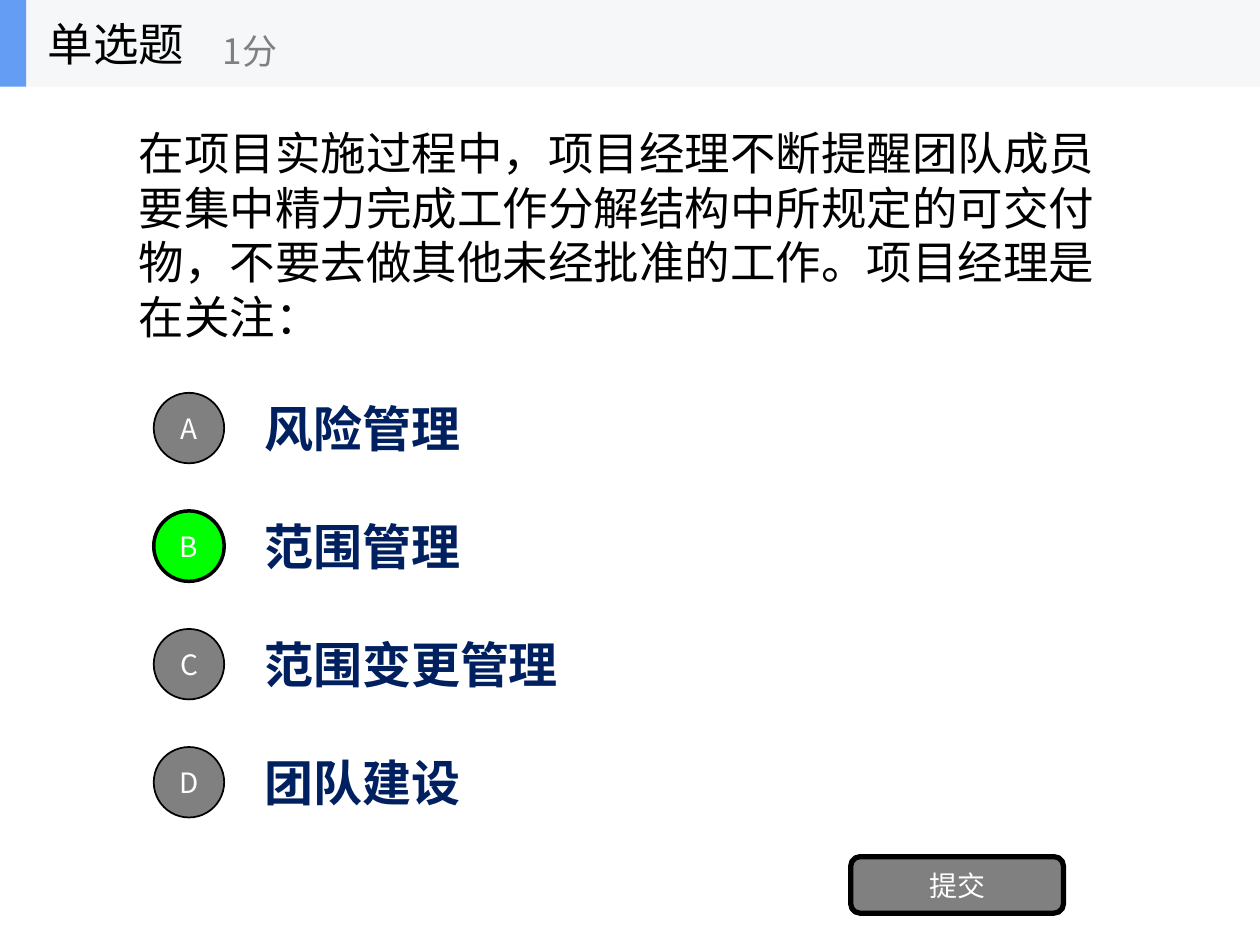
from lxml import etree
from pptx import Presentation
from pptx import util as u
from pptx.dml.color import RGBColor
from pptx.enum import shapes, text
from pptx.oxml.ns import qn

FONT = "Noto Sans CJK SC"
COLORS = {
    "black": "000000", "white": "FFFFFF", "grey": "808080", "green": "00FF00",
    "navy": "002060", "blue": "639EF4", "band": "F6F7F8",
}
QUESTION = (
    "在项目实施过程中，项目经理不断提醒团队成员要集中精力完成工作分解结构中所规定的可交付物，"
    "不要去做其他未经批准的工作。项目经理是在关注："
)
OPTIONS = [("A", "风险管理"), ("B", "范围管理"), ("C", "范围变更管理"), ("D", "团队建设")]
ANSWER = "B"

# Lengths in centimetres
SLIDE_WIDTH, SLIDE_HEIGHT = 25.4, 19.05
HEADER_HEIGHT = 1.75
FIRST_OPTION_MIDDLE, OPTION_STEP = 8.63, 2.38
OPTION_HEIGHT, BADGE_SIZE = 1.78, 1.42


def color(name):
    return RGBColor.from_string(COLORS[name])


def write(shape, words, size, ink, bold=False, align=text.PP_ALIGN.LEFT):
    frame = shape.text_frame
    frame.text = words
    frame.word_wrap = True
    frame.auto_size = text.MSO_AUTO_SIZE.NONE
    frame.vertical_anchor = text.MSO_ANCHOR.MIDDLE
    para = frame.paragraphs[0]
    para.alignment = align
    font = para.font
    font.name, font.size, font.bold = FONT, u.Pt(size), bold
    font.color.rgb = color(ink)
    # East Asian characters take their typeface from a:ea
    latin = para._p.find(".//" + qn("a:latin"))
    east_asian = etree.Element(qn("a:ea"), typeface=FONT)
    latin.addnext(east_asian)


def add_label(parent, place, words, size, ink, bold=False):
    box = parent.add_textbox(*map(u.Cm, place))
    write(box, words, size, ink, bold)


def add_block(parent, kind, place, fill, line_width=0):
    block = parent.add_shape(kind, *map(u.Cm, place))
    block.shadow.inherit = False
    block.fill.solid()
    block.fill.fore_color.rgb = color(fill)
    if line_width:
        block.line.color.rgb = color("black")
        block.line.width = u.Pt(line_width)
    else:
        block.line.fill.background()
    return block


def add_button(parent, kind, place, words, fill, line_width):
    button = add_block(parent, kind, place, fill, line_width)
    write(button, words, 16, "white", align=text.PP_ALIGN.CENTER)
    frame = button.text_frame
    frame.margin_left = frame.margin_right = frame.margin_top = frame.margin_bottom = 0


def add_header(slide):
    header = slide.shapes.add_group_shape().shapes
    rectangle = shapes.MSO_SHAPE.RECTANGLE
    add_block(header, rectangle, (0, 0, SLIDE_WIDTH, HEADER_HEIGHT), "band")
    add_block(header, rectangle, (0, 0, 0.53, HEADER_HEIGHT), "blue")
    add_label(header, (0.71, 0, 5.28, HEADER_HEIGHT), "单选题", 26, "black")
    add_label(header, (4.24, 0.3, 6.35, 1.42), "1分", 20, "grey")


def main():
    deck = Presentation()
    deck.slide_width, deck.slide_height = u.Cm(SLIDE_WIDTH), u.Cm(SLIDE_HEIGHT)
    slide = deck.slides.add_slide(deck.slide_layouts[5])

    title = slide.shapes.title
    title.left, title.top, title.width, title.height = map(
        u.Cm, (2.54, HEADER_HEIGHT, 20.32, 5.94))
    write(title, QUESTION, 26, "black")

    middles = [FIRST_OPTION_MIDDLE + i * OPTION_STEP for i in range(len(OPTIONS))]
    for middle, (_, words) in zip(middles, OPTIONS):
        place = (5.08, middle - OPTION_HEIGHT / 2, 17.78, OPTION_HEIGHT)
        add_label(slide.shapes, place, words, 28, "navy", bold=True)
    for middle, (letter, _) in zip(middles, OPTIONS):
        fill, line_width = ("green", 2) if letter == ANSWER else ("grey", 1)
        place = (3.1, middle - BADGE_SIZE / 2, BADGE_SIZE, BADGE_SIZE)
        add_button(slide.shapes, shapes.MSO_SHAPE.OVAL, place, letter, fill, line_width)

    add_button(slide.shapes, shapes.MSO_SHAPE.ROUNDED_RECTANGLE,
               (17.15, 17.27, 4.29, 1.14), "提交", "grey", 3)
    add_header(slide)
    deck.save("out.pptx")


if __name__ == "__main__":
    main()
